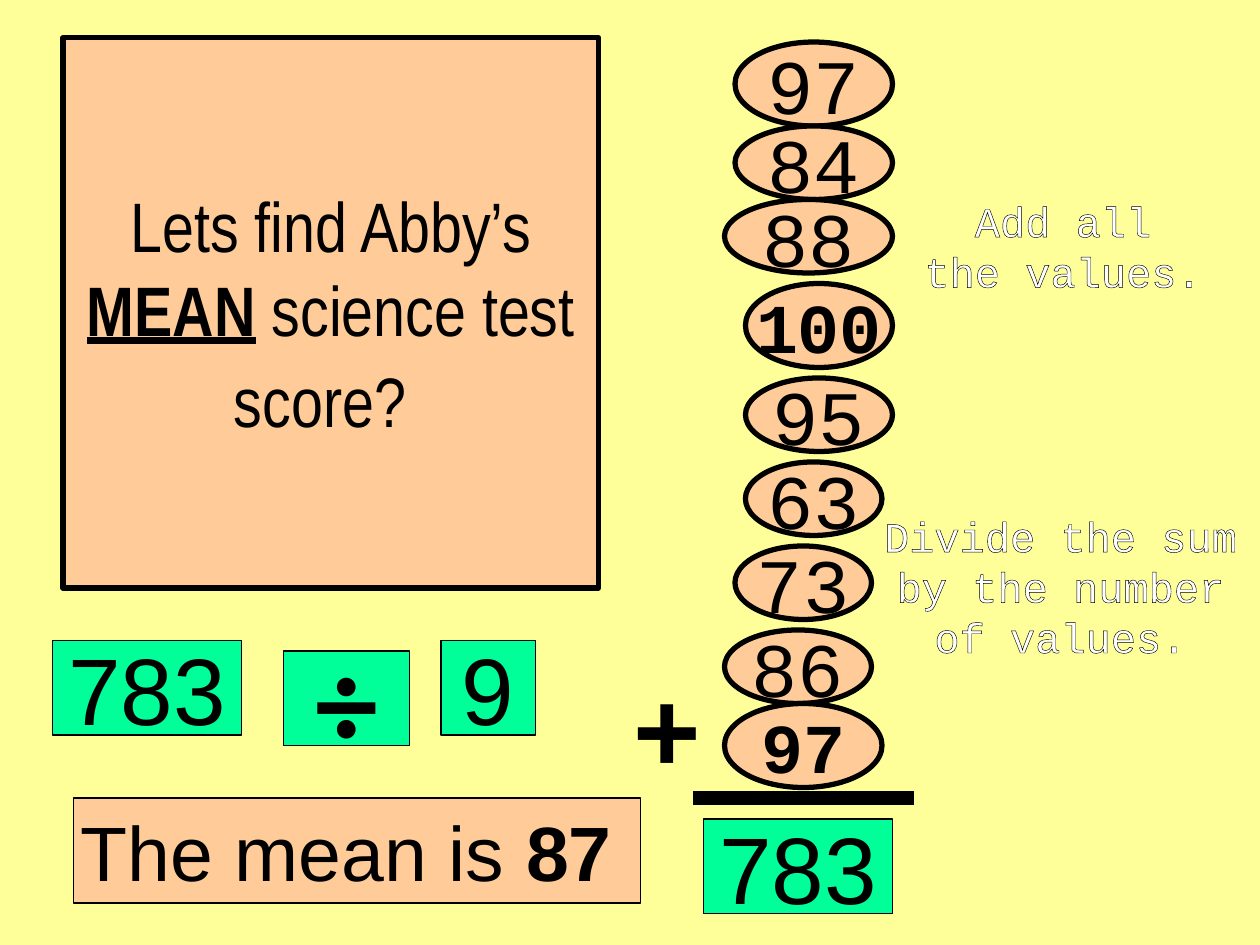
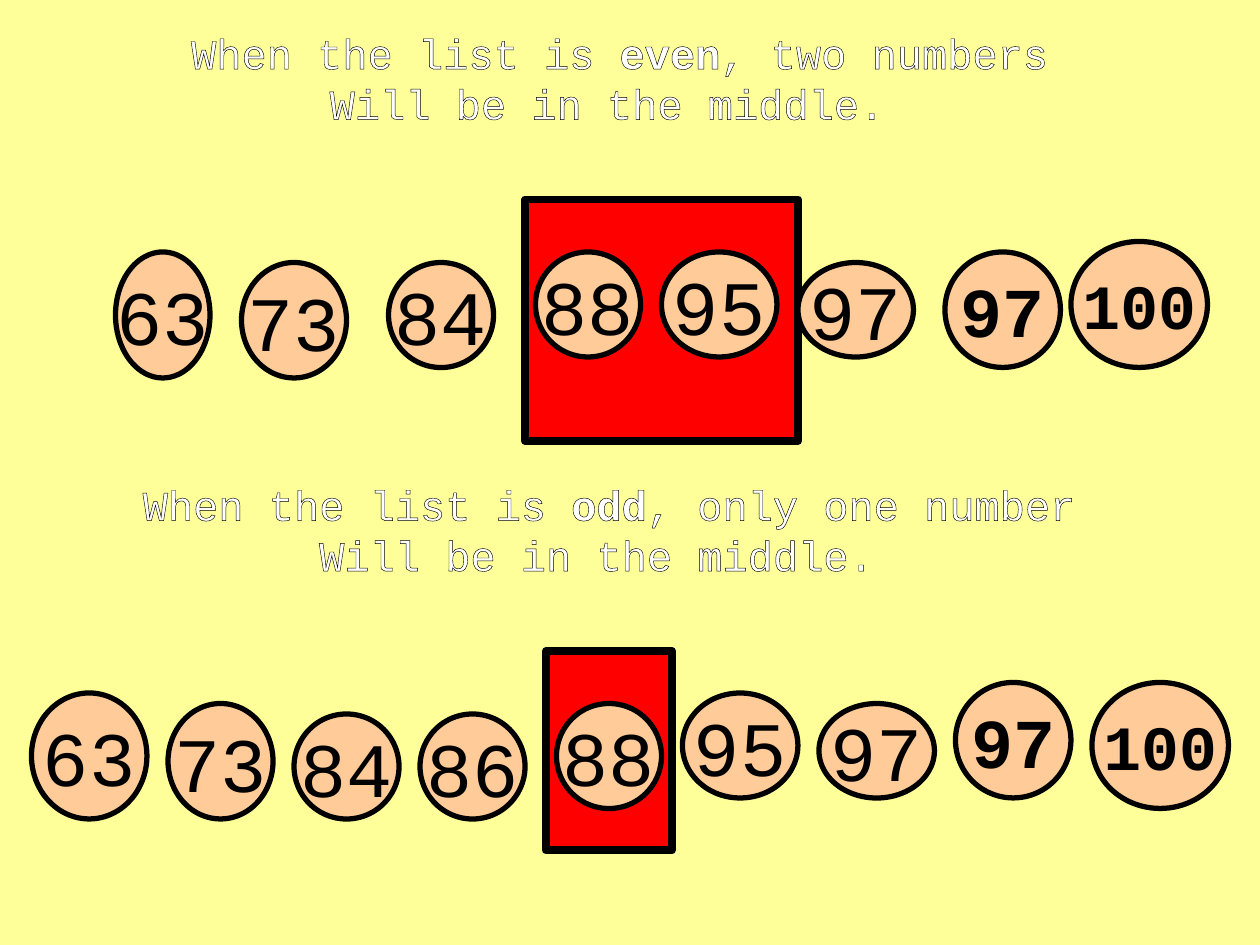
"""Build two slides on finding the mean and the middle of a list of test scores."""
from dataclasses import dataclass

from lxml import etree
from pptx import Presentation
from pptx import util as u
from pptx.dml.color import RGBColor
from pptx.enum import shapes, text
from pptx.oxml.ns import qn


@dataclass(frozen=True)
class Style:
    font: str
    size: int
    color: str = "000000"
    bold: bool = False
    outlined: bool = False


class Theme:
    background, peach, green, red = "FFFF99", "FFCC99", "00FF99", "FF0000"
    black = "000000"
    thin, medium, thick, heavy = 0.75, 3, 4.5, 8
    title = Style("Arial Narrow", 40)
    score = Style("Courier New", 44)
    repeat_score = Style("Courier New", 40, bold=True)
    top_score = Style("Courier New", 36, bold=True)
    caption = Style("Courier New", 24, "FFFFFF", outlined=True)
    result = Style("Arial", 54)
    answer = Style("Arial", 44)
    plus = Style("Arial", 66, bold=True)
    divide = Style("Calibri", 72, bold=True)


# Boxes are (left, top, width, height) in grid steps; every second text segment is bold.
GRID_STEP = 2.54 / 12

TITLE_BOX = (6, 3.6, 51, 52.4)
TITLE = ("Lets find Abby’s ", "MEAN", " science test score?")

COLUMN_SCORES = [
    ("97", (70, 4, 15, 8), Theme.score),
    ("84", (70, 12, 15, 7), Theme.score),
    ("88", (69, 19, 16, 7), Theme.score),
    ("100", (71, 27, 14, 8), Theme.repeat_score),
    ("95", (71, 36, 14, 7), Theme.score),
    ("63", (71, 44, 13, 7), Theme.score),
    ("73", (70, 52, 13, 7), Theme.score),
    ("86", (69, 60, 14, 7), Theme.score),
    ("97", (69, 67, 15, 8), Theme.repeat_score),
]
SUM_LINE = (66, 76, 87, 76)
PLUS_BOX = (59, 62, 9, 14.4)

STEPS = [
    ((89, 18, 24.5, 13), [("Add all",), ("the values.",)]),
    ((86, 48, 30, 22), [("Divide the sum",), ("by the number",), ("of values.",)]),
]
RESULTS = [
    (("783",), (67, 78, 18, 9), Theme.green, Theme.result),
    (("783",), (5, 61, 18, 9), Theme.green, Theme.result),
    (("÷",), (27, 62, 12, 9), Theme.green, Theme.divide),
    (("9",), (42, 61, 9, 9), Theme.green, Theme.result),
    (("The mean is ", "87 "), (7, 76, 54, 10), Theme.peach, Theme.answer),
]

MIDDLE_CASES = [
    {
        "caption_box": (4, 2, 110, 10),
        "caption": [("When the list is ", "even", ", two numbers"),
                    ("Will be in the middle. ",)],
        "middle": (50, 19, 26, 23),
        "scores": [
            ("63", (11, 24, 9, 12), Theme.score),
            ("73", (23, 25, 10, 11), Theme.score),
            ("84", (37, 25, 10, 10), Theme.score),
            ("88", (51, 24, 10, 10), Theme.score),
            ("95", (63, 24, 11, 10), Theme.score),
            ("97", (76, 25, 11, 9), Theme.score),
            ("97", (90, 24, 11, 11), Theme.repeat_score),
            ("100", (102, 23, 13, 12), Theme.top_score),
        ],
    },
    {
        "caption_box": (3, 45, 110, 10),
        "caption": [("When the list is ", "odd", ", only one number"),
                    ("Will be in the middle. ",)],
        "middle": (52, 62, 12, 19),
        "scores": [
            ("63", (3, 66, 11, 12), Theme.score),
            ("73", (16, 67, 10, 11), Theme.score),
            ("84", (28, 68, 10, 10), Theme.score),
            ("86", (40, 68, 10, 10), Theme.score),
            ("88", (53, 67, 10, 10), Theme.score),
            ("95", (65, 66, 11, 10), Theme.score),
            ("97", (78, 67, 11, 9), Theme.score),
            ("97", (91, 65, 11, 11), Theme.repeat_score),
            ("100", (104, 65, 13, 12), Theme.top_score),
        ],
    },
]


def place(box):
    return [u.Cm(step * GRID_STEP) for step in box]


def paint(shape, fill, line_width):
    shape.fill.solid()
    shape.fill.fore_color.rgb = RGBColor.from_string(fill)
    shape.line.color.rgb = RGBColor.from_string(Theme.black)
    shape.line.width = u.Pt(line_width)


def outline(run):
    line = etree.Element(qn("a:ln"), w=str(u.Pt(Theme.thin)))
    fill = etree.SubElement(line, qn("a:solidFill"))
    etree.SubElement(fill, qn("a:srgbClr"), val=Theme.black)
    run._r.get_or_add_rPr().insert(0, line)


def write(shape, paragraphs, style, wrap=False, anchor=text.MSO_ANCHOR.MIDDLE):
    frame = shape.text_frame
    frame.word_wrap = wrap
    frame.auto_size = text.MSO_AUTO_SIZE.NONE
    frame.vertical_anchor = anchor
    for index, segments in enumerate(paragraphs):
        paragraph = frame.add_paragraph() if index else frame.paragraphs[0]
        paragraph.alignment = text.PP_ALIGN.CENTER
        font = paragraph.font
        font.name, font.size = style.font, u.Pt(style.size)
        font.bold = style.bold
        font.color.rgb = RGBColor.from_string(style.color)
        for position, segment in enumerate(segments):
            run = paragraph.add_run()
            run.text = segment
            if position % 2:
                run.font.bold = True
            if style.outlined:
                outline(run)


def add_box(slide, kind, box, fill, line_width):
    shape = slide.shapes.add_shape(kind, *place(box))
    shape.shadow.inherit = False
    paint(shape, fill, line_width)
    return shape


def add_scores(slide, scores):
    for value, box, style in scores:
        oval = add_box(slide, shapes.MSO_SHAPE.OVAL, box, Theme.peach, Theme.medium)
        write(oval, [(value,)], style)


def add_text(slide, box, paragraphs, style):
    text_box = slide.shapes.add_textbox(*place(box))
    write(text_box, paragraphs, style, anchor=text.MSO_ANCHOR.TOP)


def add_title(slide):
    title = slide.shapes.title
    title.left, title.top, title.width, title.height = place(TITLE_BOX)
    paint(title, Theme.peach, Theme.medium)
    write(title, [TITLE], Theme.title, wrap=True)
    title.text_frame.paragraphs[0].runs[1].font.underline = True
    tail = title.text_frame.paragraphs[0].add_run()
    tail.text = " "
    tail.font.name, tail.font.size = Theme.answer.font, u.Pt(Theme.answer.size)


def add_sum_line(slide):
    connector = slide.shapes.add_connector(shapes.MSO_CONNECTOR.STRAIGHT, *place(SUM_LINE))
    connector.line.color.rgb = RGBColor.from_string(Theme.black)
    connector.line.width = u.Pt(Theme.heavy)
    etree.SubElement(connector._element.spPr, qn("a:effectLst"))


def build_mean_slide(presentation):
    slide = presentation.slides.add_slide(presentation.slide_layouts[5])
    add_title(slide)
    add_scores(slide, COLUMN_SCORES)
    add_sum_line(slide)
    add_text(slide, PLUS_BOX, [("+",)], Theme.plus)
    for box, paragraphs in STEPS:
        add_text(slide, box, paragraphs, Theme.caption)
    for segments, box, fill, style in RESULTS:
        shape = add_box(slide, shapes.MSO_SHAPE.RECTANGLE, box, fill, Theme.thin)
        write(shape, [segments], style)


def build_middle_slide(presentation):
    slide = presentation.slides.add_slide(presentation.slide_layouts[6])
    for case in MIDDLE_CASES:
        add_box(slide, shapes.MSO_SHAPE.RECTANGLE, case["middle"], Theme.red, Theme.thick)
        add_scores(slide, case["scores"])
        add_text(slide, case["caption_box"], case["caption"], Theme.caption)


def main():
    presentation = Presentation()
    presentation.slide_width, presentation.slide_height = u.Cm(25.4), u.Cm(19.05)
    background = presentation.slide_master.background.fill
    background.solid()
    background.fore_color.rgb = RGBColor.from_string(Theme.background)
    build_mean_slide(presentation)
    build_middle_slide(presentation)
    presentation.save("out.pptx")


if __name__ == "__main__":
    main()
